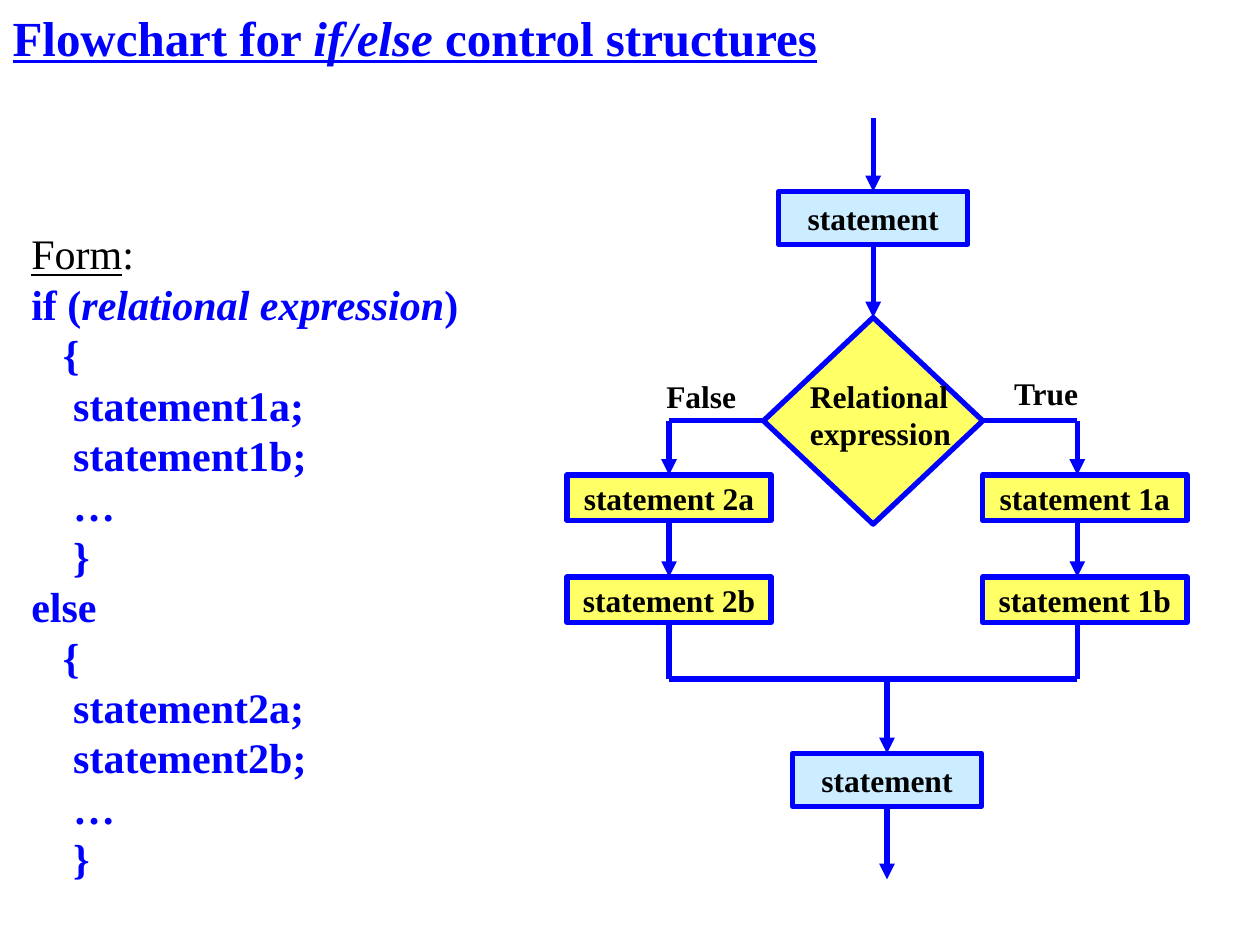
from lxml import etree
from pptx import Presentation
from pptx import util as u
from pptx.dml.color import RGBColor
from pptx.enum import shapes, text
from pptx.oxml.ns import qn

BLUE, BLACK, YELLOW, SKY = "0000FF", "000000", "FFFF66", "CCECFF"
TOP, LEFT, BOTTOM, RIGHT = range(4)
CODE = [
    "   {", "    statement1a;", "    statement1b;", "    …", "    }",
    "else",
    "   {", "    statement2a;", "    statement2b;", "    …", "    }",
]


def rgb(value):
    """Turn a hex string into a colour."""
    return RGBColor.from_string(value)


def add_run(p, content, size=18, color=BLACK, bold=True, italic=False, underline=False):
    """Append formatted text to a paragraph."""
    r = p.add_run()
    r.text = content
    font = r.font
    font.name, font.size = "Times New Roman", u.Pt(size)
    font.bold, font.italic, font.underline = bold, italic, underline
    font.color.rgb = rgb(color)


def add_lines(tf, lines, **fmt):
    """Fill a text frame with one paragraph per list of (text, format) runs."""
    for i, runs in enumerate(lines):
        p = tf.paragraphs[0] if i == 0 else tf.add_paragraph()
        for content, extra in runs:
            add_run(p, content, **{**fmt, **extra})


def add_text(s, x, y, w, h, lines, **fmt):
    """Add an unwrapped text box."""
    sp = s.shapes.add_textbox(*map(u.Inches, (x, y, w, h)))
    tf = sp.text_frame
    tf.word_wrap = False
    tf.auto_size = text.MSO_AUTO_SIZE.SHAPE_TO_FIT_TEXT
    add_lines(tf, lines, **fmt)


def add_node(s, x, y, w, h, fill, label="", kind=shapes.MSO_SHAPE.RECTANGLE):
    """Add an outlined flowchart shape with a centred label."""
    sp = s.shapes.add_shape(kind, *map(u.Inches, (x, y, w, h)))
    sp.shadow.inherit = False
    sp.fill.solid()
    sp.fill.fore_color.rgb = rgb(fill)
    sp.line.color.rgb = rgb(BLUE)
    sp.line.width = u.Pt(3)
    if label:
        tf = sp.text_frame
        tf.word_wrap = False
        tf.vertical_anchor = text.MSO_ANCHOR.MIDDLE
        tf.paragraphs[0].alignment = text.PP_ALIGN.CENTER
        add_run(tf.paragraphs[0], label)
    return sp


def add_line(s, x1, y1, x2, y2, arrow=False, begin=None, end=None):
    """Add a straight line, optionally with an arrowhead and (shape, side) joins."""
    sp = s.shapes.add_connector(
        shapes.MSO_CONNECTOR.STRAIGHT, *map(u.Inches, (x1, y1, x2, y2)))
    if begin:
        sp.begin_connect(*begin)
    if end:
        sp.end_connect(*end)
    sp.line.color.rgb = rgb(BLUE)
    sp.line.width = u.Pt(3)
    if arrow:
        etree.SubElement(sp.line._get_or_add_ln(), qn("a:tailEnd"), type="triangle")
    etree.SubElement(sp._element.spPr, qn("a:effectLst"))


def add_title(s):
    """Place and fill the title placeholder."""
    sp = s.shapes.title
    sp.left, sp.top, sp.width, sp.height = map(u.Inches, (0, 0, 8.5, 0.58))
    tf = sp.text_frame
    tf.auto_size = text.MSO_AUTO_SIZE.NONE
    tf.vertical_anchor = text.MSO_ANCHOR.MIDDLE
    tf.paragraphs[0].alignment = text.PP_ALIGN.LEFT
    runs = [("Flowchart for ", {}), ("if/else", {"italic": True}),
            (" control structures", {})]
    add_lines(tf, [runs], size=28, color=BLUE, underline=True)


def add_form(s):
    """Add the general form of the if/else statement."""
    plain = {"color": BLACK, "bold": False}
    lines = [
        [("Form", {**plain, "underline": True}), (":", plain)],
        [("if (", {}), ("relational expression", {"italic": True}), (")", {})],
    ]
    lines += [[(line, {})] for line in CODE]
    add_text(s, 0.15, 1.76, 3.59, 5.29, lines, size=24, color=BLUE)


def add_flowchart(s):
    """Add the flowchart nodes, connecting lines and labels."""
    test = add_node(s, 6.06, 2.52, 1.74, 1.64, YELLOW, kind=shapes.MSO_SHAPE.DIAMOND)
    first = add_node(s, 6.18, 1.52, 1.5, 0.42, SKY, "statement")
    last = add_node(s, 6.29, 5.98, 1.5, 0.42, SKY, "statement")
    (false_a, false_b), (true_a, true_b) = [
        [add_node(s, x, y, 1.62, 0.36, YELLOW, f"statement {branch}{step}")
         for step, y in (("a", 3.77), ("b", 4.58))]
        for branch, x in ((2, 4.5), (1, 7.8))]

    add_line(s, 6.93, 0.94, 6.93, 1.52, True, end=(first, TOP))
    add_line(s, 6.93, 1.94, 6.93, 2.52, True, (first, BOTTOM), (test, TOP))

    add_line(s, 6.06, 3.34, 5.31, 3.34, begin=(test, LEFT))
    add_line(s, 5.31, 3.34, 5.31, 3.77, True, end=(false_a, TOP))
    add_line(s, 5.31, 4.13, 5.31, 4.58, True, (false_a, BOTTOM), (false_b, TOP))
    add_line(s, 5.31, 4.94, 5.31, 5.39, begin=(false_b, BOTTOM))

    add_line(s, 7.8, 3.34, 8.55, 3.34, begin=(test, RIGHT))
    add_line(s, 8.55, 3.34, 8.55, 3.77, True)
    add_line(s, 8.55, 4.13, 8.55, 4.58, True)
    add_line(s, 8.55, 4.94, 8.55, 5.39)

    add_line(s, 5.31, 5.39, 8.55, 5.39)
    add_line(s, 7.04, 5.39, 7.04, 5.98, True, end=(last, TOP))
    add_line(s, 7.04, 6.4, 7.04, 6.98, True, begin=(last, BOTTOM))

    add_text(s, 6.33, 2.94, 1.33, 0.7, [[("Relational", {})], [("expression", {})]])
    add_text(s, 7.95, 2.92, 0.73, 0.4, [[("True", {})]])
    add_text(s, 5.19, 2.94, 0.76, 0.4, [[("False", {})]])


def main():
    """Build and save the slide."""
    prs = Presentation()
    prs.slide_width, prs.slide_height = u.Inches(10), u.Inches(7.5)
    s = prs.slides.add_slide(prs.slide_layouts[5])
    add_title(s)
    add_form(s)
    add_flowchart(s)
    prs.save("out.pptx")


if __name__ == "__main__":
    main()
